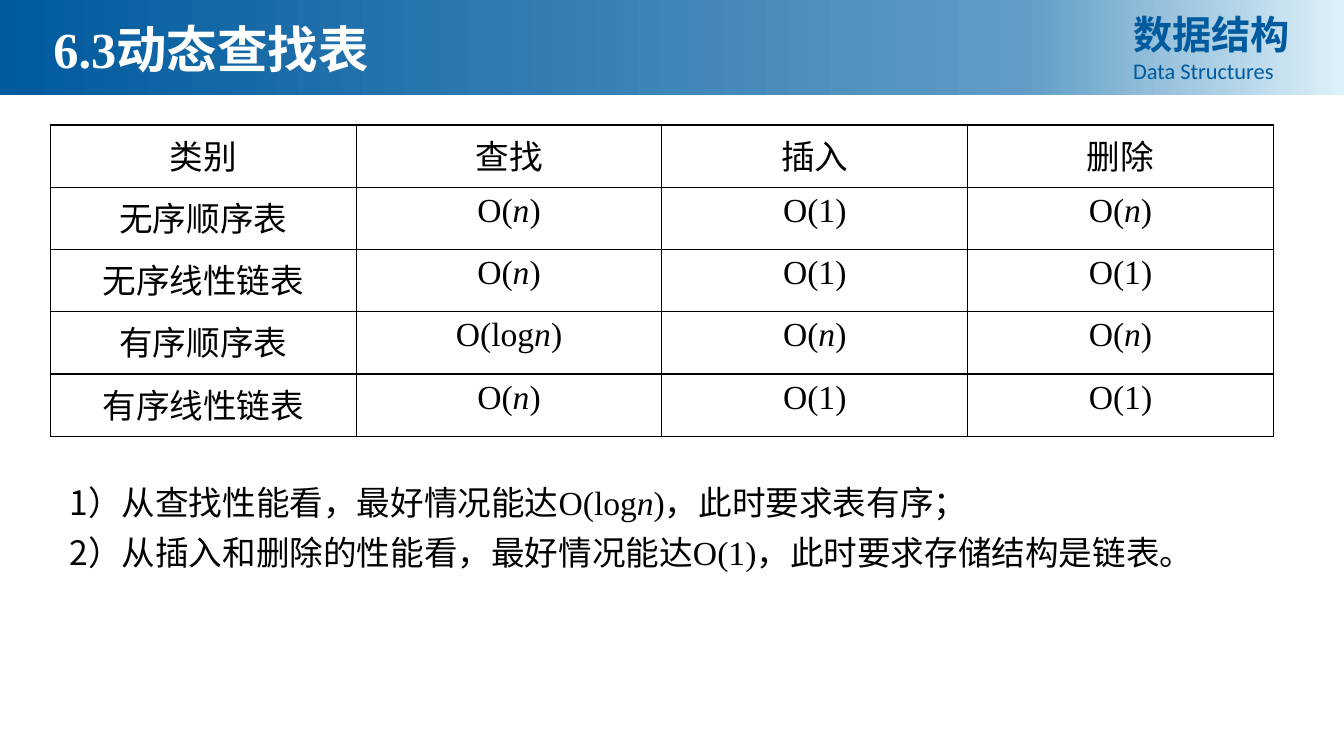
from copy import deepcopy

from pptx import Presentation
from pptx.dml.color import RGBColor
from pptx.enum.shapes import MSO_SHAPE
from pptx.enum.text import MSO_ANCHOR, PP_ALIGN
from pptx.oxml import parse_xml
from pptx.oxml.ns import nsdecls, qn
from pptx.util import Inches, Pt

RECT = MSO_SHAPE.RECTANGLE
MIDDLE = MSO_ANCHOR.MIDDLE
LEFT, CENTER, JUSTIFY = PP_ALIGN.LEFT, PP_ALIGN.CENTER, PP_ALIGN.JUSTIFY
COLORS = {"blue": "005A9E", "mid": "609CC5", "pale": "DEF1F9",
          "white": "FFFFFF", "black": "000000"}
HAN, SERIF, SANS = "Noto Sans CJK SC", "Times New Roman", "Calibri"


def style(r, size, font, color="black", bold=False):
    r.font.size = Pt(size)
    r.font.name = font
    r.font.bold = bold
    r.font.color.rgb = RGBColor.from_string(COLORS[color])
    ea = parse_xml(f'<a:ea {nsdecls("a")} typeface="{HAN}"/>')
    r.font._element.find(qn("a:latin")).addnext(ea)


def add_mixed(p, text):
    """Add the parts between bars as runs: Chinese, formula, or italic n."""
    for part in text.split("|"):
        r = p.add_run()
        r.text = part
        style(r, 24, SERIF if part.isascii() else HAN)
        r.font.italic = part == "n"


prs = Presentation()
prs.slide_width, prs.slide_height = Inches(13.33), Inches(7.5)
s = prs.slides.add_slide(prs.slide_layouts[5])

# Header bar, placed behind the title
bar = s.shapes.add_shape(RECT, 0, 0, prs.slide_width, Inches(0.94))
bar.shadow.inherit = False
bar.line.fill.background()
bar.fill.gradient()
bar.fill.gradient_angle = 0
first_stop = bar._element.spPr.find(".//" + qn("a:gs"))
first_stop.addnext(deepcopy(first_stop))
stops = [(0, "blue"), (0.76, "mid"), (1, "pale")]
for stop, (position, color) in zip(bar.fill.gradient_stops, stops):
    stop.position = position
    stop.color.rgb = RGBColor.from_string(COLORS[color])
s.shapes._spTree.insert(2, bar._element)

# Title
title = s.shapes.title
title.left, title.top = Inches(0.43), Inches(0.12)
title.width, title.height = Inches(5.64), Inches(0.71)
tf = title.text_frame
tf.text = "6.3动态查找表"
tf.word_wrap = True
tf.vertical_anchor = MIDDLE
tf.paragraphs[0].alignment = LEFT
style(tf.paragraphs[0].runs[0], 36, SERIF, "white", True)

# Course name
course = s.shapes.add_textbox(Inches(11.14), Inches(0.05), Inches(1.91), Inches(0.84))
tf = course.text_frame
tf.word_wrap = True
tf.text = "数据结构\nData Structures"
for p, size, font, bold in zip(tf.paragraphs, (28, 16), (HAN, SANS), (True, False)):
    p.alignment = JUSTIFY
    style(p.runs[0], size, font, "blue", bold)

# Complexity table
rows = [
    ["类别", "查找", "插入", "删除"],
    ["无序顺序表", "O(|n|)", "O(1)", "O(|n|)"],
    ["无序线性链表", "O(|n|)", "O(1)", "O(1)"],
    ["有序顺序表", "O(log|n|)", "O(|n|)", "O(|n|)"],
    ["有序线性链表", "O(|n|)", "O(1)", "O(1)"],
]
frame = s.shapes.add_table(len(rows), 4, Inches(0.5), Inches(1.24),
                           Inches(12.13), Inches(3.09))
table = frame.table
for i, row in enumerate(rows):
    for j, text in enumerate(row):
        cell = table.cell(i, j)
        p = cell.text_frame.paragraphs[0]
        p.alignment = CENTER
        add_mixed(p, text)
        cell.fill.background()
        tcPr = cell._tc.get_or_add_tcPr()
        for k, side in enumerate(("lnL", "lnR", "lnT", "lnB")):
            tcPr.insert(k, parse_xml(
                f'<a:{side} {nsdecls("a")} w="12700"><a:solidFill>'
                f'<a:srgbClr val="{COLORS["black"]}"/></a:solidFill></a:{side}>'))

# Conclusions
notes = [
    "1）从查找性能看，最好情况能达|O(log|n|)|，此时要求表有序；",
    "2）从插入和删除的性能看，最好情况能达|O(1)|，此时要求存储结构是链表。",
]
conclusions = s.shapes.add_textbox(Inches(0.59), Inches(4.63), Inches(12.47), Inches(2.02))
tf = conclusions.text_frame
tf.word_wrap = True
for i, note in enumerate(notes):
    p = tf.add_paragraph() if i else tf.paragraphs[0]
    p.line_spacing = 1.25
    add_mixed(p, note)

prs.save("out.pptx")
